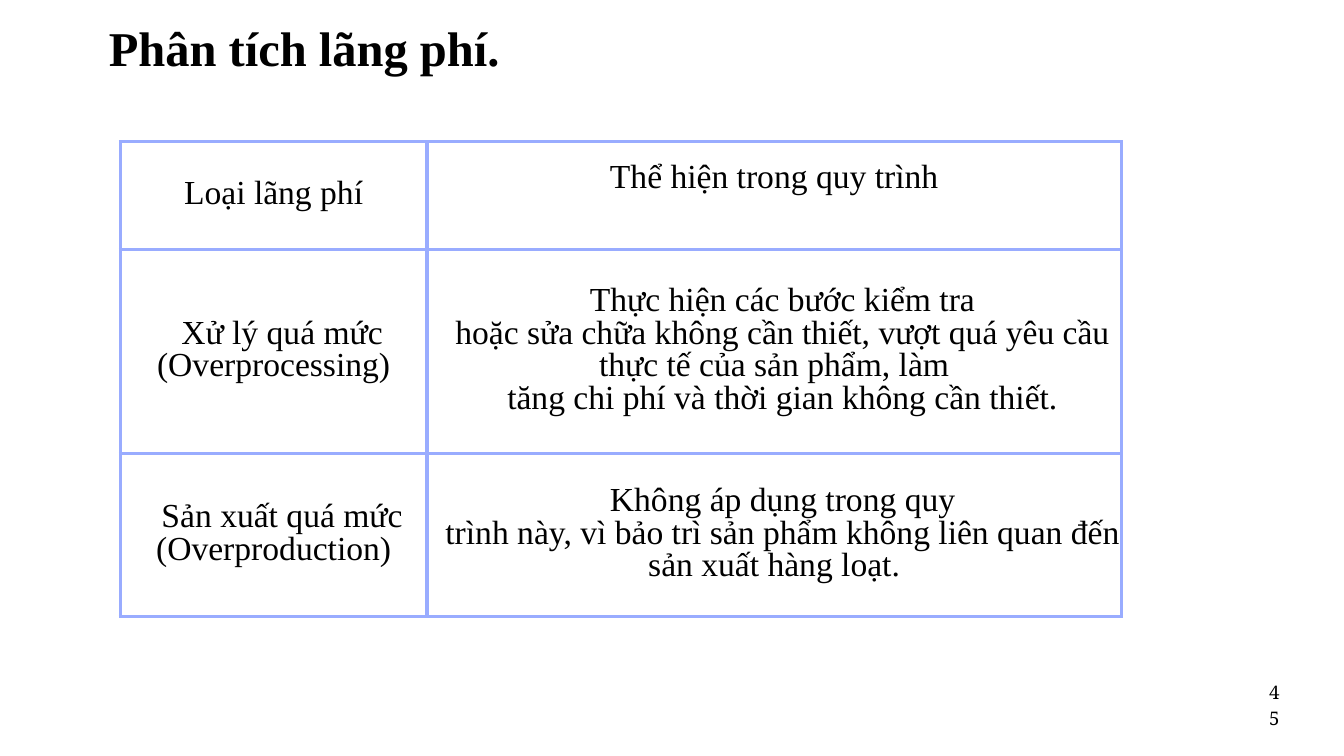
import dataclasses

import pptx
import pptx.dml.color
import pptx.enum.text
import pptx.oxml
import pptx.oxml.ns
import pptx.util

Pt = pptx.util.Pt
RGBColor = pptx.dml.color.RGBColor


@dataclasses.dataclass(frozen=True)
class Theme:
    text: RGBColor = RGBColor(0, 0, 0)
    border: str = "99ACFF"
    border_width: float = 3.75
    serif: str = "Times New Roman"
    number_font: str = "Noto Serif"
    title_size: float = 52
    table_size: float = 36
    number_size: float = 20
    title_spacing: float = 72.8
    table_spacing: float = 35
    number_spacing: float = 28


THEME = Theme()
COLUMN_WIDTHS = (328.5, 744)
ROW_HEIGHTS = (115, 219, 175)
FIRST_LINE_INDENT = 18
WASTE_ROWS = (
    (["Loại lãng phí"], ["Thể hiện trong quy trình"]),
    (
        ["Xử lý quá mức (Overprocessing)"],
        [
            "Thực hiện các bước kiểm tra",
            "hoặc sửa chữa không cần thiết, vượt quá yêu cầu thực tế của sản phẩm, làm",
            "tăng chi phí và thời gian không cần thiết.",
        ],
    ),
    (
        ["Sản xuất quá mức (Overproduction)"],
        [
            "Không áp dụng trong quy",
            "trình này, vì bảo trì sản phẩm không liên quan đến sản xuất hàng loạt.",
        ],
    ),
)


def set_values(target, values):
    for name, value in values.items():
        setattr(target, name, value)


def write_paragraphs(frame, lines, spacing, indent=0, **font):
    """Fill a text frame with centred paragraphs at a fixed line pitch."""
    set_values(frame, {
        "word_wrap": True,
        "margin_left": 0, "margin_right": 0, "margin_top": 0, "margin_bottom": 0,
    })
    for index, line in enumerate(lines):
        paragraph = frame.paragraphs[0] if index == 0 else frame.add_paragraph()
        run = paragraph.add_run()
        run.text = line
        set_values(paragraph, {
            "alignment": pptx.enum.text.PP_ALIGN.CENTER,
            "line_spacing": Pt(spacing),
        })
        if indent:
            paragraph._p.get_or_add_pPr().set("indent", str(Pt(indent)))
        set_values(run.font, font)
        run.font.color.rgb = THEME.text


def add_title(slide, text):
    title = slide.shapes.title
    set_values(title, {
        "left": Pt(48), "top": Pt(8.5), "width": Pt(556), "height": Pt(68),
    })
    title.text_frame.vertical_anchor = pptx.enum.text.MSO_ANCHOR.TOP
    title.text_frame.auto_size = pptx.enum.text.MSO_AUTO_SIZE.NONE
    write_paragraphs(title.text_frame, [text], THEME.title_spacing,
                     name=THEME.serif, size=Pt(THEME.title_size), bold=True)


def set_borders(cell):
    properties = cell._tc.get_or_add_tcPr()
    for position, side in enumerate(("lnL", "lnR", "lnT", "lnB")):
        line = pptx.oxml.parse_xml(
            f'<a:{side} {pptx.oxml.ns.nsdecls("a")} w="{Pt(THEME.border_width)}">'
            f'<a:solidFill><a:srgbClr val="{THEME.border}"/></a:solidFill></a:{side}>'
        )
        properties.insert(position, line)


def add_waste_table(slide):
    table = slide.shapes.add_table(
        len(ROW_HEIGHTS), len(COLUMN_WIDTHS), Pt(129), Pt(152),
        Pt(sum(COLUMN_WIDTHS)), Pt(sum(ROW_HEIGHTS)),
    ).table
    set_values(table, {"first_row": False, "horz_banding": False})
    for column, width in zip(table.columns, COLUMN_WIDTHS):
        column.width = Pt(width)
    for row, height, contents in zip(table.rows, ROW_HEIGHTS, WASTE_ROWS):
        row.height = Pt(height)
        indent = 0 if contents is WASTE_ROWS[0] else FIRST_LINE_INDENT
        for cell, lines in zip(row.cells, contents):
            write_paragraphs(cell.text_frame, lines, THEME.table_spacing, indent,
                             name=THEME.serif, size=Pt(THEME.table_size))
            set_values(cell, {
                "vertical_anchor": pptx.enum.text.MSO_ANCHOR.MIDDLE,
                "margin_left": 0, "margin_right": 0,
                "margin_top": 0, "margin_bottom": 0,
            })
            cell.fill.background()
            set_borders(cell)
    # The second heading sits half a line above the middle of its row.
    table.cell(0, 1).margin_bottom = Pt(THEME.table_spacing)


def add_page_number(slide, number):
    box = slide.shapes.add_textbox(Pt(1359.5), Pt(725), Pt(12), Pt(16))
    write_paragraphs(box.text_frame, [number], THEME.number_spacing,
                     name=THEME.number_font, size=Pt(THEME.number_size))


def main():
    presentation = pptx.Presentation()
    set_values(presentation, {"slide_width": Pt(1440), "slide_height": Pt(810)})
    slide = presentation.slides.add_slide(presentation.slide_layouts[5])
    add_title(slide, "Phân tích lãng phí.")
    add_waste_table(slide)
    add_page_number(slide, "45")
    presentation.save("out.pptx")


if __name__ == "__main__":
    main()
